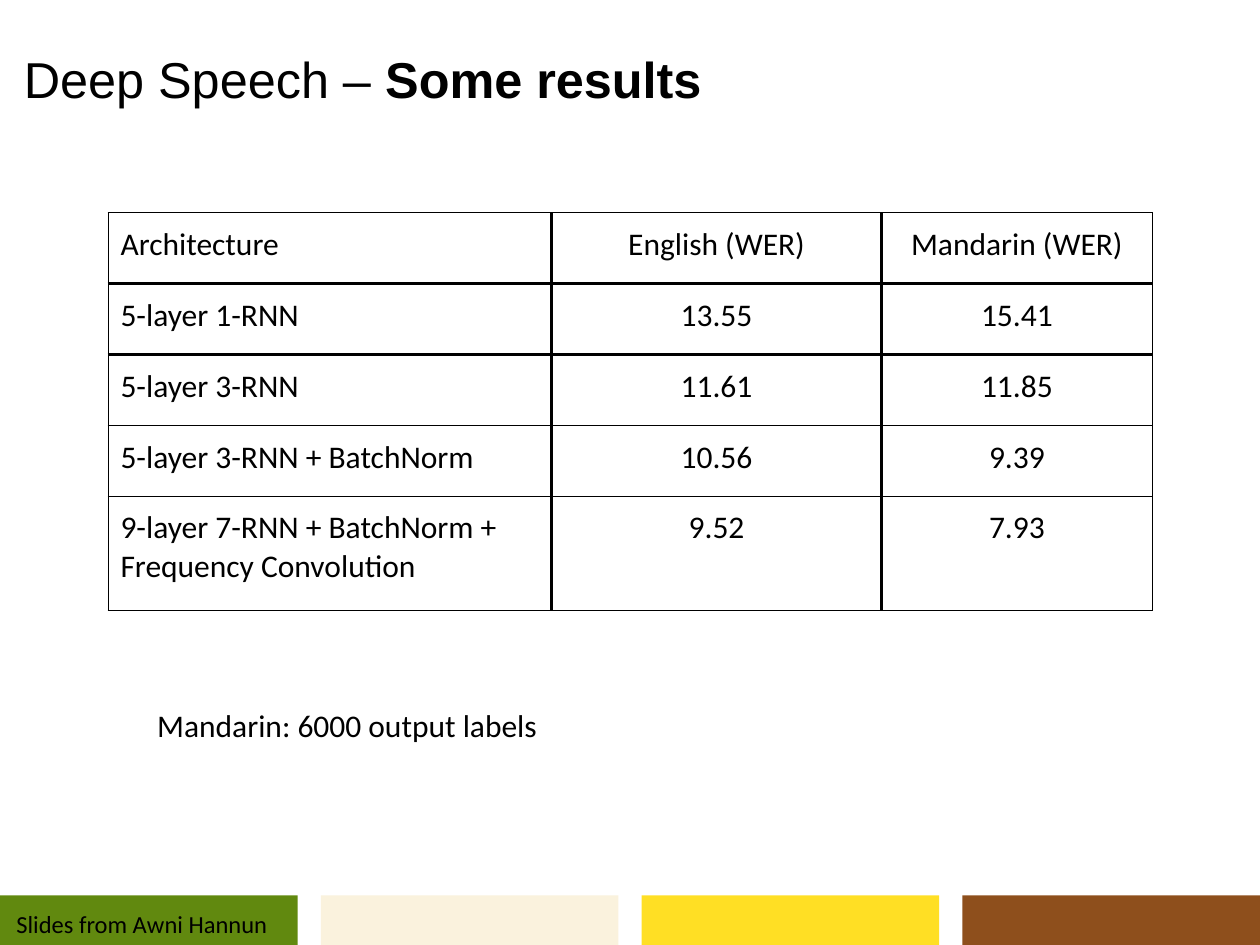
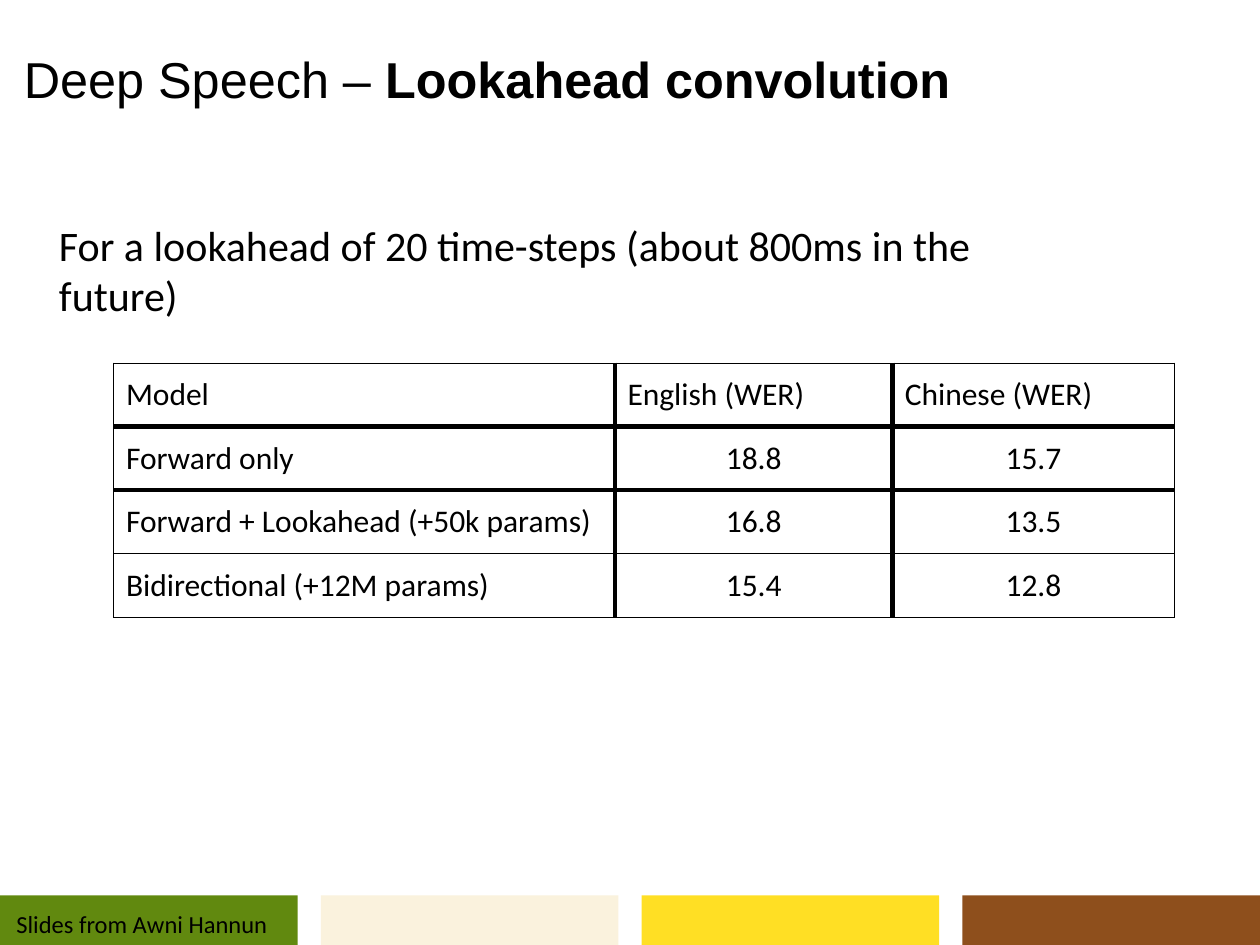
from lxml import etree
from pptx import Presentation
from pptx.dml.color import RGBColor
from pptx.enum import shapes, text
from pptx.oxml import ns
from pptx.util import Cm, Pt

COLORS = {
    "ink": "000000",
    "green": "61890F",
    "cream": "FAF2DD",
    "yellow": "FFDF24",
    "brown": "8E4F1C",
}
BANDS = ("green", "cream", "yellow", "brown")
PAGE_WIDTH, PAGE_HEIGHT = 25.4, 19.05
BAND_WIDTH, BAND_HEIGHT = 6, 1
INSET = 0.25
THIN = 0.75
LEFT, CENTER = text.PP_ALIGN.LEFT, text.PP_ALIGN.CENTER


def color(name):
    return RGBColor.from_string(COLORS[name])


def add_span(para, content, size, font="Calibri", bold=False):
    span = para.add_run()
    span.text = content
    span.font.size = Pt(size)
    span.font.name = font
    span.font.bold = bold
    span.font.color.rgb = color("ink")


def add_text(page, content, left, top, width, height, size=18, font="Calibri",
             bold_tail="", wrap=True, inset_y=0.13, spacing=None,
             anchor=text.MSO_ANCHOR.TOP):
    box = page.shapes.add_textbox(Cm(left), Cm(top), Cm(width), Cm(height))
    frame = box.text_frame
    frame.word_wrap = wrap
    frame.vertical_anchor = anchor
    frame.margin_left = frame.margin_right = Cm(INSET)
    frame.margin_top = frame.margin_bottom = Cm(inset_y)
    para = frame.paragraphs[0]
    para.line_spacing = spacing
    add_span(para, content, size, font)
    if bold_tail:
        add_span(para, bold_tail, size, font, bold=True)


def add_bands(page):
    step = (PAGE_WIDTH - BAND_WIDTH) / (len(BANDS) - 1)
    for index, name in enumerate(BANDS):
        band = page.shapes.add_shape(
            shapes.MSO_SHAPE.RECTANGLE, Cm(index * step), Cm(PAGE_HEIGHT - BAND_HEIGHT),
            Cm(BAND_WIDTH), Cm(BAND_HEIGHT))
        band.shadow.inherit = False
        band.fill.solid()
        band.fill.fore_color.rgb = color(name)
        band.line.fill.background()


def add_page(deck, topic):
    page = deck.slides.add_slide(deck.slide_layouts[6])
    add_bands(page)
    add_text(page, "Deep Speech – ", 0.23, 0.33, 21.1, 2.64, size=28.8, font="Arial",
             bold_tail=topic, spacing=0.9, anchor=text.MSO_ANCHOR.MIDDLE)
    add_text(page, "Slides from Awni Hannun", 0.08, 18.19, 12.04, 0.86, size=14)
    return page


def set_borders(cell, widths):
    properties = cell._tc.get_or_add_tcPr()
    for position, (side, width) in enumerate(widths.items()):
        line = etree.Element(ns.qn(f"a:ln{side}"), w=str(Pt(width)))
        fill = etree.SubElement(line, ns.qn("a:solidFill"))
        etree.SubElement(fill, ns.qn("a:srgbClr"), val=COLORS["ink"])
        properties.insert(position, line)


def add_results(page, rows, left, top, columns, heights, thick, header_align):
    table = page.shapes.add_table(
        len(rows), len(columns), Cm(left), Cm(top), Cm(sum(columns)), Cm(sum(heights))).table
    table.first_row = table.horz_banding = False
    for column, width in zip(table.columns, columns):
        column.width = Cm(width)
    for row, height in zip(table.rows, heights):
        row.height = Cm(height)
    last_column = len(columns) - 1
    for i, values in enumerate(rows):
        for j, value in enumerate(values):
            cell = table.cell(i, j)
            cell.fill.background()
            cell.margin_left = cell.margin_right = Cm(INSET)
            cell.margin_top = cell.margin_bottom = Cm(INSET)
            para = cell.text_frame.paragraphs[0]
            para.alignment = LEFT if j == 0 else CENTER if i else header_align
            add_span(para, value, 18)
            set_borders(cell, {
                "L": thick if j > 0 else THIN,
                "R": thick if j < last_column else THIN,
                "T": thick if i in (1, 2) else THIN,
                "B": thick if i in (0, 1) else THIN,
            })


def main():
    deck = Presentation()
    deck.slide_width, deck.slide_height = Cm(PAGE_WIDTH), Cm(PAGE_HEIGHT)

    page = add_page(deck, "Some results")
    architectures = [
        ("Architecture", "English (WER)", "Mandarin (WER)"),
        ("5-layer 1-RNN", "13.55", "15.41"),
        ("5-layer 3-RNN", "11.61", "11.85"),
        ("5-layer 3-RNN + BatchNorm", "10.56", "9.39"),
        ("9-layer 7-RNN + BatchNorm + Frequency Convolution", "9.52", "7.93"),
    ]
    add_results(page, architectures, 2.18, 4.29, (8.94, 6.65, 5.46),
                [1.43] * 4 + [2.29], thick=2.25, header_align=CENTER)
    add_text(page, "Mandarin: 6000 output labels", 2.92, 14.1, 8.26, 1.02, wrap=False)

    page = add_page(deck, "Lookahead convolution")
    models = [
        ("Model", "English (WER)", "Chinese (WER)"),
        ("Forward only", "18.8", "15.7"),
        ("Forward + Lookahead (+50k params)", "16.8", "13.5"),
        ("Bidirectional (+12M params)", "15.4", "12.8"),
    ]
    add_results(page, models, 2.29, 7.32, (10.11, 5.59, 5.69),
                [1.28] * 4, thick=3, header_align=LEFT)
    add_text(page, "For a lookahead of 20 time-steps (about 800ms in the future)",
             0.94, 4.17, 19.99, 1.93, size=24, inset_y=INSET)

    deck.save("out.pptx")


if __name__ == "__main__":
    main()
